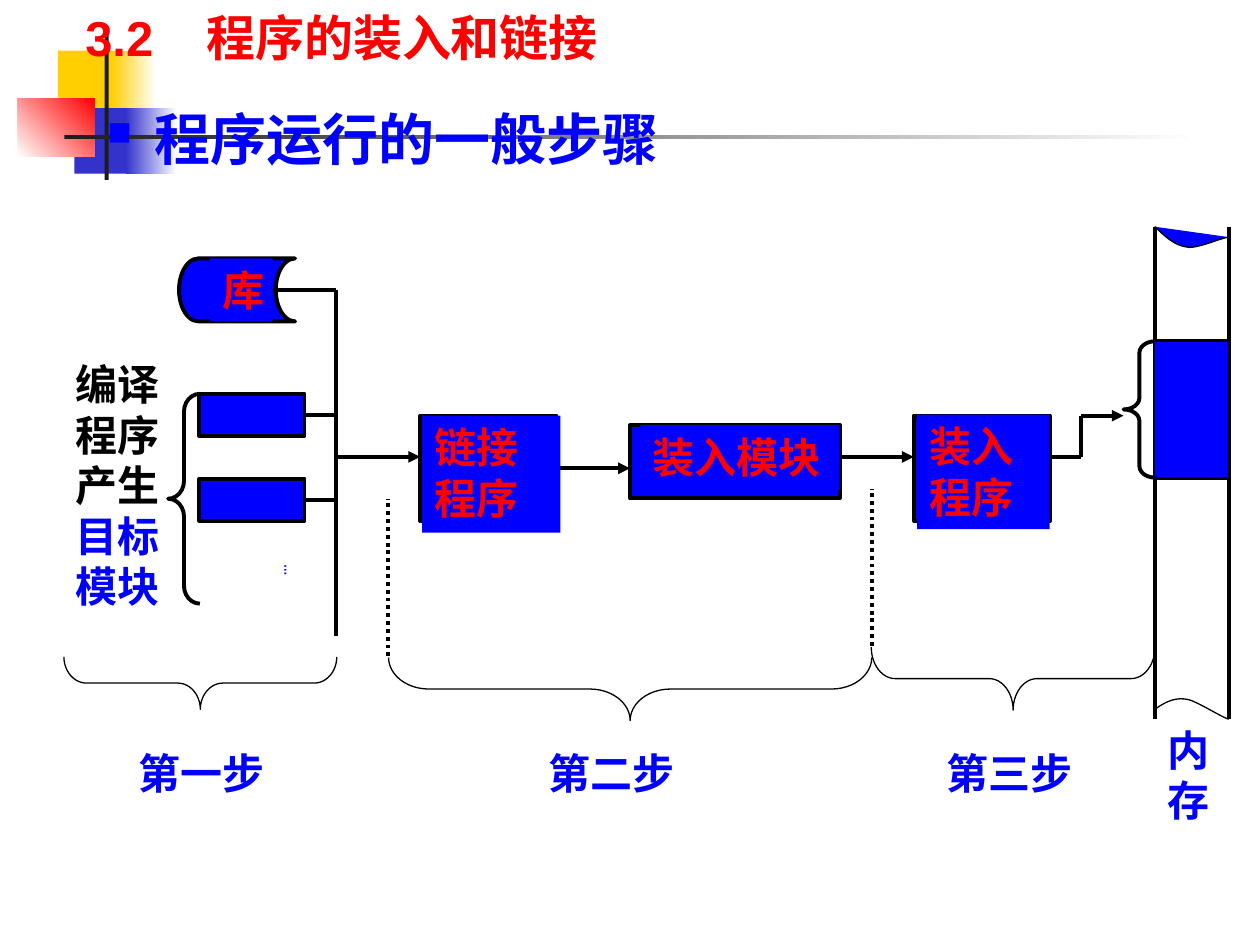
from lxml import etree
from pptx import Presentation
from pptx.dml.color import RGBColor
from pptx.enum.dml import MSO_LINE
from pptx.enum.shapes import MSO_CONNECTOR, MSO_SHAPE
from pptx.enum.text import MSO_ANCHOR, MSO_AUTO_SIZE
from pptx.oxml.ns import qn
from pptx.util import Cm, Pt

RECTANGLE = MSO_SHAPE.RECTANGLE
STORAGE = MSO_SHAPE.FLOWCHART_STORED_DATA
BRACE = MSO_SHAPE.LEFT_BRACE
STRAIGHT = MSO_CONNECTOR.STRAIGHT
DOTTED = MSO_LINE.ROUND_DOT
TOP, BOTTOM = MSO_ANCHOR.TOP, MSO_ANCHOR.BOTTOM
GROW = MSO_AUTO_SIZE.SHAPE_TO_FIT_TEXT

BLUE = RGBColor(0x00, 0x00, 0xFF)
RED = RGBColor(0xFF, 0x00, 0x00)
BLACK = RGBColor(0x00, 0x00, 0x00)
WHITE = RGBColor(0xFF, 0xFF, 0xFF)
YELLOW = RGBColor(0xFF, 0xCF, 0x01)
INDIGO = RGBColor(0x33, 0x33, 0xCC)
CHARCOAL = RGBColor(0x1C, 0x1C, 0x1C)

CJK_FONT = "Noto Sans CJK SC"
THICK, THIN = 2.25, 0.75
BUS_X = 6.77
MEMORY_LEFT, MEMORY_RIGHT = 23.28, 24.77
MEMORY_WIDTH = MEMORY_RIGHT - MEMORY_LEFT
FLOW_Y, LOAD_Y = 9.21, 8.38
TURN_X = 21.8


def add_child(parent, tag, **attributes):
    """Append a DrawingML element to a parent."""
    return etree.SubElement(parent, qn(tag), attributes)


def paint(shape, fill=None, fade=None, angle=0, line=None):
    """Set the fill, outline and shadow of a shape."""
    shape.shadow.inherit = False
    if fade is not None:
        shape.fill.gradient()
        shape.fill.gradient_angle = angle
        for stop, color in zip(shape.fill.gradient_stops, (fill, fade)):
            stop.color.rgb = color
    elif fill is not None:
        shape.fill.solid()
        shape.fill.fore_color.rgb = fill
    else:
        shape.fill.background()
    if line:
        shape.line.color.rgb = BLACK
        shape.line.width = Pt(line)
    else:
        shape.line.fill.background()


def add_box(page, place, kind=RECTANGLE, **paints):
    """Add a preset shape at a place given in centimetres."""
    box = page.shapes.add_shape(kind, *map(Cm, place))
    paint(box, **paints)
    return box


def add_brace(page, place, curl, width, rotation=0):
    """Add an unfilled brace."""
    brace = add_box(page, place, BRACE, line=width)
    brace.adjustments[0] = curl
    brace.rotation = rotation


def add_line(page, start, end, arrow=False, dash=None, source=None):
    """Add a straight line, joined to the right side of a source box if given."""
    line = page.shapes.add_connector(STRAIGHT, *map(Cm, start + end))
    if source is not None:
        line.begin_connect(source, 3)
    line.line.color.rgb = BLACK
    line.line.width = Pt(THICK)
    if dash is not None:
        line.line.dash_style = dash
    if arrow:
        add_child(line.line._get_or_add_ln(), "a:tailEnd", type="triangle")
    add_child(line._element.spPr, "a:effectLst")


def add_text(page, place, *parts, size=24, color=BLUE, font=CJK_FONT, fill=None,
             anchor=TOP, grow=True, bullet=False, tab=None, vertical=False):
    """Add a text box whose parts are strings or (string, color) pairs."""
    box = page.shapes.add_textbox(*map(Cm, place))
    if fill is not None:
        box.fill.solid()
        box.fill.fore_color.rgb = fill
    frame = box.text_frame
    frame.word_wrap = True
    frame.vertical_anchor = anchor
    if grow:
        frame.auto_size = GROW
    if vertical:
        frame._txBody.bodyPr.set("vert", "eaVert")
    para = frame.paragraphs[0]
    properties = para._p.get_or_add_pPr()
    if bullet:
        properties.set("marL", str(Cm(0.95)))
        properties.set("indent", str(Cm(-0.95)))
        add_child(add_child(properties, "a:buClr"), "a:srgbClr", val=str(color))
        add_child(properties, "a:buSzPct", val="60000")
        add_child(properties, "a:buChar", char="■")
    if tab:
        add_child(add_child(properties, "a:tabLst"), "a:tab", pos=str(Cm(tab)), algn="l")
    for part in parts:
        words, tint = (part, color) if isinstance(part, str) else part
        span = para.add_run()
        span.text = words
        span.font.name = font
        span.font.size = Pt(size)
        span.font.bold = True
        span.font.color.rgb = tint
        add_child(span._r.get_or_add_rPr(), "a:ea", typeface=CJK_FONT)


def bezier(points, steps=12):
    """Return points along a cubic curve, without its start."""
    weights = (1, 3, 3, 1)
    return [
        tuple(sum(weight * (1 - t) ** (3 - power) * t ** power * point[axis]
                  for power, (weight, point) in enumerate(zip(weights, points)))
              for axis in (0, 1))
        for t in (step / steps for step in range(1, steps + 1))
    ]


def add_wave(page, points, fill=None):
    """Add an open outline through two joined cubic curves."""
    trace = bezier(points[:4]) + bezier(points[3:])
    builder = page.shapes.build_freeform(*map(Cm, points[0]))
    builder.add_line_segments([(Cm(x), Cm(y)) for x, y in trace], close=False)
    paint(builder.convert_to_shape(), fill=fill, line=THIN)


def add_decoration(page):
    """Add the coloured squares and rules behind the headings."""
    add_box(page, (1.17, 1.02, 1.22, 1.32), fill=YELLOW)
    add_box(page, (2.24, 1.02, 0.91, 1.32), fill=YELLOW, fade=WHITE)
    add_box(page, (1.5, 2.18, 1.17, 1.32), fill=INDIGO)
    add_box(page, (2.54, 2.18, 1.02, 1.32), fill=INDIGO, fade=WHITE)
    add_box(page, (0.36, 1.98, 1.55, 1.17), fill=WHITE, fade=RED, angle=45)
    add_box(page, (2.11, 0.71, 0.08, 2.92), fill=CHARCOAL)
    add_box(page, (1.3, 2.72, 22.86, 0.08), fill=CHARCOAL, fade=WHITE)


def add_flow(page):
    """Add the modules, programs and the lines that join them."""
    add_box(page, (3.61, 5.21, 2.34, 1.27), STORAGE, fill=BLUE, line=THICK)
    add_line(page, (5.51, 5.84), (BUS_X, 5.84))
    add_line(page, (BUS_X, 5.84), (BUS_X, 12.83))
    for top in (7.94, 9.65):
        module = add_box(page, (4.02, top, 2.12, 0.85), fill=BLUE, line=THICK)
        middle = top + 0.85 / 2
        add_line(page, (6.14, middle), (BUS_X, middle), source=module)
    linker = add_box(page, (8.47, LOAD_Y, 2.75, 2.12), fill=BLUE, line=THICK)
    add_box(page, (12.7, 8.57, 4.23, 1.48), fill=BLUE, line=THICK)
    add_box(page, (18.42, LOAD_Y, 2.75, 2.12), fill=BLUE, line=THICK)
    add_line(page, (BUS_X, FLOW_Y), (8.47, FLOW_Y), arrow=True)
    add_line(page, (11.22, 9.44), (12.7, 9.44), arrow=True, source=linker)
    add_line(page, (16.93, FLOW_Y), (18.42, FLOW_Y), arrow=True)
    add_line(page, (21.17, FLOW_Y), (TURN_X, FLOW_Y))
    add_line(page, (TURN_X, FLOW_Y), (TURN_X, LOAD_Y))
    add_line(page, (TURN_X, LOAD_Y), (22.65, LOAD_Y), arrow=True)
    for words, place in (("库", (4.23, 5.21, 1.27, 1.27)),
                         ("链接程序", (8.51, 8.38, 2.79, 2.36)),
                         ("装入模块", (12.91, 8.57, 4.02, 1.3)),
                         ("装入程序", (18.49, 8.36, 2.67, 2.31))):
        add_text(page, place, words, color=RED, fill=BLUE)
    add_text(page, (1.27, 7.11, 2.54, 5.38), ("编译程序产生", BLACK), "目标模块")
    add_text(page, (4.84, 11.13, 1.3, 1.91), "…", size=8, font="Arial Narrow", vertical=True)
    add_brace(page, (3.39, 7.94, 0.64, 4.23), 0.56, THICK)


def add_memory(page):
    """Add the memory strip with its loaded region."""
    for x in (MEMORY_LEFT, MEMORY_RIGHT):
        add_line(page, (x, 4.57), (x, 14.5))
    for y in (6.88, 9.64):
        add_line(page, (MEMORY_LEFT, y), (MEMORY_RIGHT, y))
    add_brace(page, (22.65, 6.88, 0.64, 2.75), 0.36, THICK)
    add_wave(page, [(MEMORY_LEFT, 4.57), (23.47, 4.75), (23.67, 4.95), (23.93, 4.98),
                    (24.1, 5.03), (24.61, 4.8), (MEMORY_RIGHT, 4.78)], fill=BLUE)
    add_wave(page, [(MEMORY_LEFT, 14.3), (23.47, 14.17), (23.67, 14.05), (23.93, 14.1),
                    (24.1, 14.12), (24.61, 14.45), (MEMORY_RIGHT, 14.5)])
    add_box(page, (MEMORY_LEFT, 6.88, MEMORY_WIDTH, 2.75), fill=BLUE, line=THIN)
    add_text(page, (MEMORY_LEFT, 14.48, 1.52, 2.31), "内存")


def add_steps(page):
    """Add the step braces, their dividers and their names."""
    add_brace(page, (3.51, 11.02, 1.06, 5.5), 0.43, THIN, 270)
    add_brace(page, (12.07, 9.02, 1.27, 9.74), 0.64, THIN, 270)
    add_brace(page, (19.79, 10.82, 1.27, 5.72), 0.38, THIN, 270)
    for x, bottom in ((7.83, 13.23), (17.57, 13.02)):
        add_line(page, (x, bottom), (x, bottom - 3.17), dash=DOTTED)
    for words, left, width in (("第一步", 2.54, 4.02), ("第二步", 10.8, 5.08),
                               ("第三步", 18.84, 4.23)):
        add_text(page, (left, 14.94, width, 1.27), words)


def main():
    """Build the slide and save it."""
    deck = Presentation()
    deck.slide_width, deck.slide_height = Cm(25.4), Cm(19.05)
    page = deck.slides.add_slide(deck.slide_layouts[6])
    add_decoration(page)
    add_text(page, (1.91, 1.98, 21.59, 2.39), "程序运行的一般步骤", size=32, grow=False, bullet=True)
    add_text(page, (1.47, 0, 21.16, 1.47), "3.2\t程序的装入和链接", size=28, color=RED,
             font="Arial", anchor=BOTTOM, grow=False, tab=2.44)
    add_flow(page)
    add_memory(page)
    add_steps(page)
    deck.save("out.pptx")


if __name__ == "__main__":
    main()
